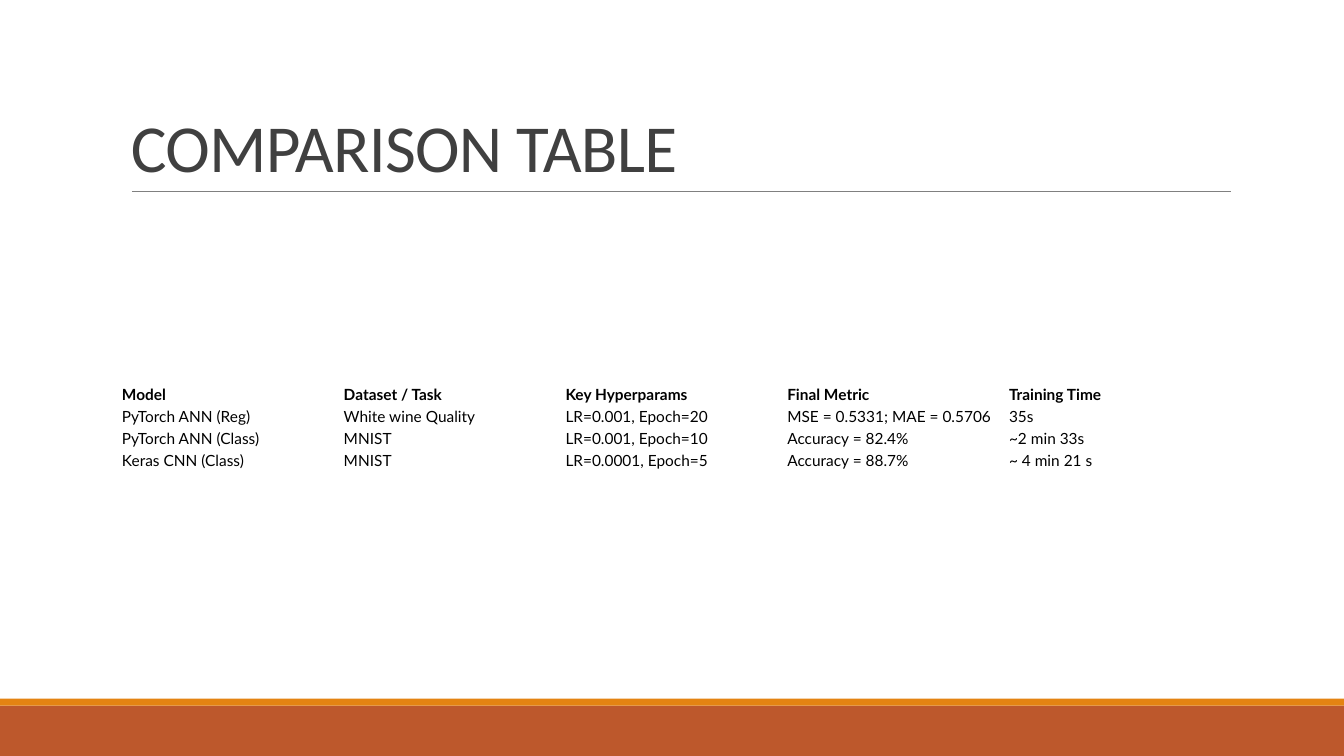
"""Build a slide that compares three models in a plain table."""
from pptx import Presentation
from pptx.dml.color import RGBColor
from pptx.enum.shapes import MSO_CONNECTOR as Connector, MSO_SHAPE as Shape
from pptx.enum.text import MSO_ANCHOR as Anchor
from pptx.oxml.ns import qn
from pptx.util import Pt
from lxml.etree import SubElement

TITLE = "COMPARISON TABLE"
ROWS = [
    ("Model", "Dataset / Task", "Key Hyperparams", "Final Metric", "Training Time"),
    ("PyTorch ANN (Reg)", "White wine Quality", "LR=0.001, Epoch=20",
     "MSE = 0.5331; MAE = 0.5706", "35s"),
    ("PyTorch ANN (Class)", "MNIST", "LR=0.001, Epoch=10", "Accuracy = 82.4%", "~2 min 33s"),
    ("Keras CNN (Class)", "MNIST", "LR=0.0001, Epoch=5", "Accuracy = 88.7%", "~ 4 min 21 s"),
]
BANDS = [(504, 36, "BD582C"), (499, 5, "E48312")]

WIDTH, HEIGHT = 960, 540
LEFT, CONTENT_WIDTH = 86.4, 792
TABLE_TOP, ROW_HEIGHT, CELL_INSET = 273.6, 15.7, 0.75
PLAIN_STYLE = "{2D5ABB26-0587-4C30-8999-92F81FD0307C}"


def paint(color_format, color):
    color_format.rgb = RGBColor.from_string(color)


def set_font(paragraph, name, size, color, bold=False):
    font = paragraph.font
    font.name, font.size, font.bold = name, Pt(size), bold
    paint(font.color, color)


def add_bands(slide):
    for top, height, color in BANDS:
        band = slide.shapes.add_shape(Shape.RECTANGLE, 0, Pt(top), Pt(WIDTH), Pt(height))
        band.shadow.inherit = False
        band.fill.solid()
        paint(band.fill.fore_color, color)
        band.line.fill.background()


def add_heading(slide):
    rule = slide.shapes.add_connector(
        Connector.STRAIGHT, Pt(94.3), Pt(136.8), Pt(879), Pt(136.8))
    rule.line.width = Pt(0.5)
    paint(rule.line.color, "808080")
    SubElement(rule._element.spPr, qn("a:effectLst"))

    heading = slide.shapes.add_textbox(Pt(LEFT), Pt(22.5), Pt(CONTENT_WIDTH), Pt(114.3))
    frame = heading.text_frame
    frame.word_wrap, frame.vertical_anchor = True, Anchor.BOTTOM
    title = frame.paragraphs[0]
    title.line_spacing = 0.85
    run = title.add_run()
    run.text = TITLE
    set_font(title, "Calibri", 48, "404040")
    run.font._element.set("spc", "-50")


def add_comparison(slide):
    table = slide.shapes.add_table(
        len(ROWS), len(ROWS[0]), Pt(LEFT), Pt(TABLE_TOP),
        Pt(CONTENT_WIDTH), Pt(ROW_HEIGHT * len(ROWS))).table
    table.first_row = table.horz_banding = False
    table._tbl.tblPr.find(qn("a:tableStyleId")).text = PLAIN_STYLE
    for r, entries in enumerate(ROWS):
        for c, entry in enumerate(entries):
            cell = table.cell(r, c)
            cell.fill.background()
            cell.vertical_anchor = Anchor.MIDDLE
            cell.margin_left = cell.margin_right = Pt(CELL_INSET)
            cell.margin_top = cell.margin_bottom = Pt(CELL_INSET)
            cell.text = entry
            paragraph = cell.text_frame.paragraphs[0]
            paragraph.line_spacing, paragraph.space_after = 1.07, Pt(8)
            set_font(paragraph, "Lato", 11, "000000", bold=r == 0)


def main():
    deck = Presentation()
    deck.slide_width, deck.slide_height = Pt(WIDTH), Pt(HEIGHT)
    slide = deck.slides.add_slide(deck.slide_layouts[6])
    add_bands(slide)
    add_heading(slide)
    add_comparison(slide)
    deck.save("out.pptx")


if __name__ == "__main__":
    main()
